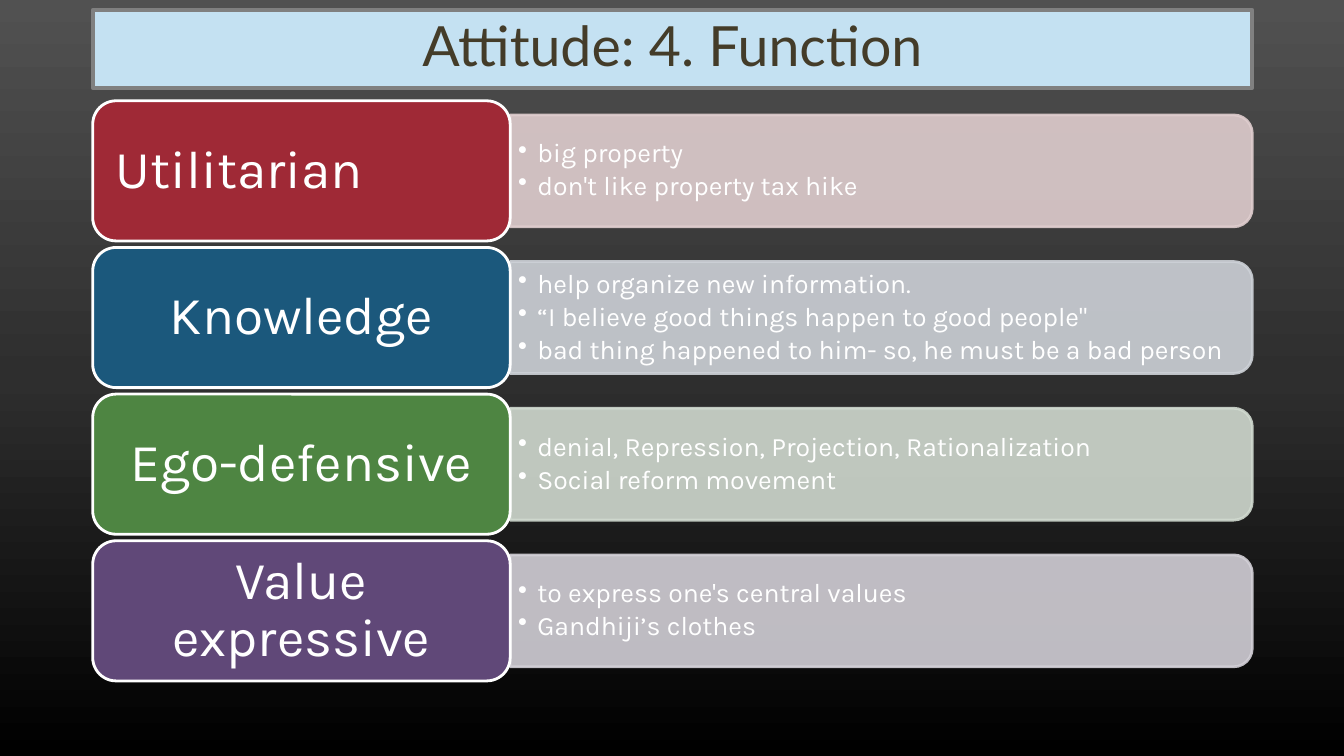
from copy import deepcopy

from pptx import Presentation
from pptx.dml.color import RGBColor
from pptx.enum.shapes import MSO_SHAPE as Shape
from pptx.enum.text import MSO_ANCHOR as Anchor, PP_ALIGN as Align
from pptx.oxml.ns import qn
from pptx.oxml.xmlchemy import OxmlElement
from pptx.util import Inches, Pt

TITLE = "Attitude: 4. Function"
BACKGROUND = [(0, "515151"), (0.5, "2E2E2E"), (1, "000000")]
FUNCTIONS = [
    ("Utilitarian", Align.LEFT, "9F2936", "DFCDCE",
     ["big property", "don't like property tax hike"]),
    ("Knowledge", Align.CENTER, "1B587C", "CDD1D7",
     ["help organize new information.",
      "“I believe good things happen to good people\"",
      "bad thing happened to him- so, he must be a bad person"]),
    ("Ego-defensive", Align.CENTER, "4E8542", "D0D9CF",
     ["denial, Repression, Projection, Rationalization", "Social reform movement"]),
    ("Value expressive", Align.CENTER, "604878", "D2CFD6",
     ["to express one's central values", "Gandhiji’s clothes"]),
]

LEFT, TOP, PITCH = 0.92, 1, 1.455
CARD_WIDTH, CARD_HEIGHT = 4.14, 1.39
PANEL_WIDTH, PANEL_HEIGHT = 7.36, 1.11
NOTE_WIDTH, NOTE_HEIGHT = 7.31, 1


def color(value):
    return RGBColor.from_string(value)


def paint(shape, fill, line, width):
    shape.fill.solid()
    shape.fill.fore_color.rgb = color(fill)
    shape.line.color.rgb = color(line)
    shape.line.width = Pt(width)
    shape.shadow.inherit = False


def set_frame(frame, side, edge):
    frame.word_wrap = True
    frame.vertical_anchor = Anchor.MIDDLE
    frame.margin_left = frame.margin_right = Inches(side)
    frame.margin_top = frame.margin_bottom = Inches(edge)


def format_para(para, text, size, font, tint, align):
    para.text = text
    para.alignment = align
    para.line_spacing = 0.9
    para.font.size = Pt(size)
    para.font.name = font
    para.font.color.rgb = color(tint)


def add_bullet(para):
    props = para._p.get_or_add_pPr()
    props.set("marL", str(Inches(0.19)))
    props.set("indent", str(-Inches(0.19)))
    bullet = OxmlElement("a:buChar")
    bullet.set("char", "•")
    props.append(bullet)


def set_opacity(shape, percent):
    for tint in shape._element.spPr.iter(qn("a:srgbClr")):
        alpha = OxmlElement("a:alpha")
        alpha.set("val", str(percent * 1000))
        tint.append(alpha)


def paint_background(page):
    fill = page.background.fill
    fill.gradient()
    fill.gradient_angle = 270
    stop_list = page._element.find(".//" + qn("a:gsLst"))
    stop_list.append(deepcopy(stop_list[0]))
    for stop, (position, tint) in zip(fill.gradient_stops, BACKGROUND):
        stop.position = position
        stop.color.rgb = color(tint)


def add_title(page):
    title = page.shapes.title
    title.left, title.top = Inches(LEFT), Inches(0.1)
    title.width, title.height = Inches(11.5), Inches(0.77)
    paint(title, "C4E1F2", "808080", 3)
    set_frame(title.text_frame, 0.1, 0.05)
    format_para(title.text_frame.paragraphs[0], TITLE, 39.6, "Lato", "443C29", Align.CENTER)


def add_panel(page, middle, tint):
    center = LEFT + CARD_WIDTH + PANEL_WIDTH / 2
    panel = page.shapes.add_shape(
        Shape.ROUND_2_SAME_RECTANGLE,
        Inches(center - PANEL_HEIGHT / 2), Inches(middle - PANEL_WIDTH / 2),
        Inches(PANEL_HEIGHT), Inches(PANEL_WIDTH))
    panel.rotation = 90
    paint(panel, tint, tint, 2)
    set_opacity(panel, 90)


def add_notes(page, middle, lines):
    box = page.shapes.add_textbox(
        Inches(LEFT + CARD_WIDTH), Inches(middle - NOTE_HEIGHT / 2),
        Inches(NOTE_WIDTH), Inches(NOTE_HEIGHT))
    frame = box.text_frame
    set_frame(frame, 0.08, 0.04)
    for index, line in enumerate(lines):
        para = frame.add_paragraph() if index else frame.paragraphs[0]
        format_para(para, line, 19, "Karla", "FFFFFF", Align.LEFT)
        para.space_after = Pt(3)
        add_bullet(para)


def add_card(page, middle, name, align, tint):
    card = page.shapes.add_shape(
        Shape.ROUNDED_RECTANGLE,
        Inches(LEFT), Inches(middle - CARD_HEIGHT / 2),
        Inches(CARD_WIDTH), Inches(CARD_HEIGHT))
    paint(card, tint, "FFFFFF", 2)
    set_frame(card.text_frame, 0.16, 0.08)
    format_para(card.text_frame.paragraphs[0], name, 38, "Karla", "FFFFFF", align)


def main():
    deck = Presentation()
    deck.slide_width, deck.slide_height = Inches(13.33), Inches(7.5)
    page = deck.slides.add_slide(deck.slide_layouts[5])
    paint_background(page)
    add_title(page)
    for row, (name, align, card_tint, panel_tint, lines) in enumerate(FUNCTIONS):
        middle = TOP + CARD_HEIGHT / 2 + row * PITCH
        add_panel(page, middle, panel_tint)
        add_notes(page, middle, lines)
        add_card(page, middle, name, align, card_tint)
    deck.save("out.pptx")


if __name__ == "__main__":
    main()
